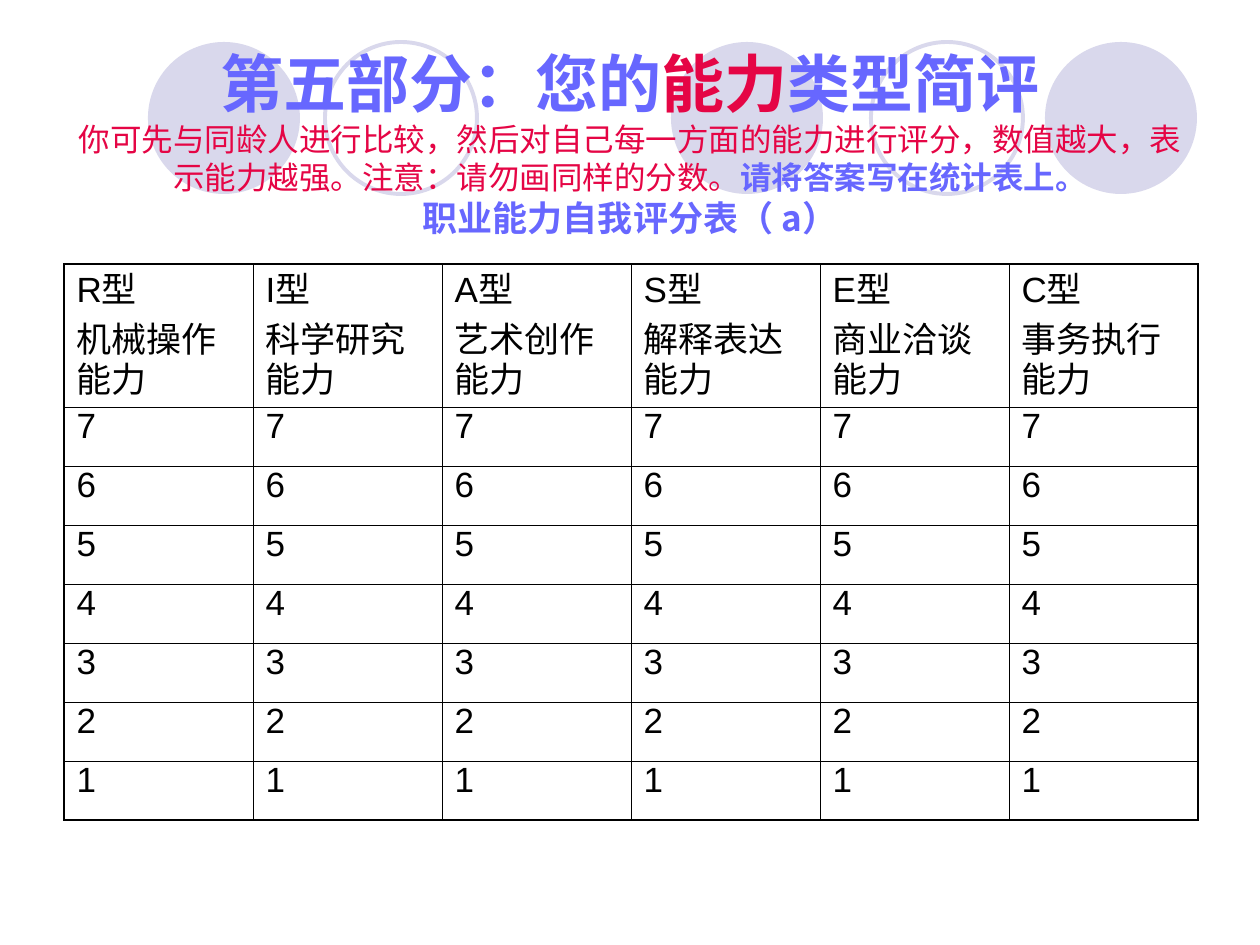
from lxml import etree
from pptx import Presentation
from pptx.dml.color import RGBColor
from pptx.enum.shapes import MSO_SHAPE
from pptx.enum.text import MSO_ANCHOR, MSO_AUTO_SIZE, PP_ALIGN
from pptx.oxml.ns import qn
from pptx.util import Emu, Pt

OVAL = MSO_SHAPE.OVAL
MIDDLE = MSO_ANCHOR.MIDDLE
NO_FIT = MSO_AUTO_SIZE.NONE
CENTER = PP_ALIGN.CENTER
PX = 914400 / 126
BLUE, RED, BLACK, LILAC = "6767FF", "E50545", "000000", "D9D8EC"
LATIN, HAN = "Arial", "Noto Sans CJK SC"


def color(code):
    return RGBColor.from_string(code)


def write(paragraph, text, size=20, ink=BLACK, bold=False, font=LATIN):
    run = paragraph.add_run()
    run.text = text
    run.font.size = Pt(size)
    run.font.bold = bold
    run.font.name = font
    run.font.color.rgb = color(ink)
    east_asian = etree.SubElement(run.font._element, qn("a:ea"))
    east_asian.set("typeface", HAN)


prs = Presentation()
prs.slide_width, prs.slide_height = Emu(int(1260 * PX)), Emu(int(945 * PX))
slide = prs.slides.add_slide(prs.slide_layouts[5])

title = slide.shapes.title
title.left, title.top, title.width, title.height = [Emu(int(n * PX)) for n in (63, 38, 1134, 207)]

for left, top, filled in [(671, 42, True), (1045, 42, True), (148, 42, True),
                          (871, 42, False), (325, 42, False)]:
    circle = slide.shapes.add_shape(OVAL, *[Emu(int(n * PX)) for n in (left, top, 152, 152)])
    circle.shadow.inherit = False
    if filled:
        circle.fill.solid()
        circle.fill.fore_color.rgb = color(LILAC)
        circle.line.fill.background()
    else:
        circle.fill.background()
        circle.line.color.rgb = color(LILAC)
        circle.line.width = Pt(2.25)
    title.element.addprevious(circle.element)

heading = title.text_frame
heading.word_wrap = True
heading.auto_size = NO_FIT
heading.vertical_anchor = MIDDLE
lines = heading.paragraphs[0]
lines.alignment = CENTER
lines.line_spacing = 1.0
write(lines, "第五部分：您的", size=36, ink=BLUE, bold=True)
write(lines, "能力", size=36, ink=RED, bold=True)
write(lines, "类型简评", size=36, ink=BLUE, bold=True)
lines.add_line_break()
write(lines, "你可先与同龄人进行比较，然后对自己每一方面的能力进行评分，数值越大，"
             "表示能力越强。注意：请勿画同样的分数。", size=18, ink=RED)
write(lines, "请将答案写在统计表上。", size=18, ink=BLUE, bold=True, font=HAN)
lines.add_line_break()
write(lines, "职业能力自我评分表（ a）", size=20, ink=BLUE, bold=True, font=HAN)

abilities = [("R型", "机械操作能力"), ("I型", "科学研究能力"), ("A型", "艺术创作能力"),
             ("S型", "解释表达能力"), ("E型", "商业洽谈能力"), ("C型", "事务执行能力")]
rows = [abilities] + [[(str(score),)] * len(abilities) for score in range(7, 0, -1)]
last_row, last_column = len(rows) - 1, len(abilities) - 1

ratings = slide.shapes.add_table(len(rows), len(abilities),
                                 *[Emu(int(n * PX)) for n in (64, 264, 1134, 557)]).table
ratings.first_row = ratings.horz_banding = False
for column in ratings.columns:
    column.width = Emu(int(189 * PX))
for r, row in enumerate(rows):
    ratings.rows[r].height = Emu(int((59 if r else 143) * PX))
    for c, entries in enumerate(row):
        cell = ratings.cell(r, c)
        for i, entry in enumerate(entries):
            paragraph = cell.text_frame.paragraphs[0] if i == 0 else cell.text_frame.add_paragraph()
            paragraph.line_spacing = 0.8
            paragraph.space_before = Pt(5)
            write(paragraph, entry)
        properties = cell._tc.get_or_add_tcPr()
        for side, outer in [("L", c == 0), ("R", c == last_column),
                            ("T", r == 0), ("B", r == last_row)]:
            border = etree.SubElement(properties, qn("a:ln" + side), w=str(Pt(1.08 if outer else 0.45)))
            ink = etree.SubElement(etree.SubElement(border, qn("a:solidFill")), qn("a:srgbClr"))
            ink.set("val", BLACK)
        cell.fill.background()

prs.save("out.pptx")
